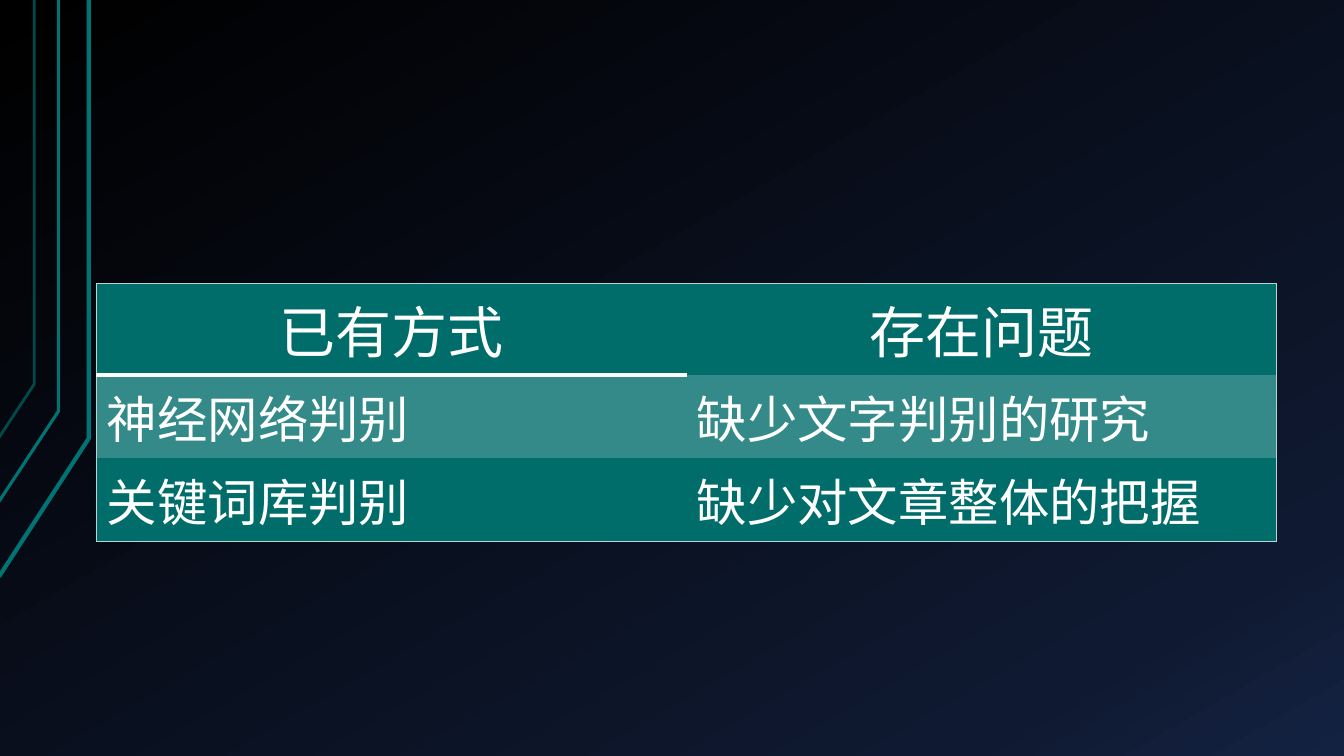
from copy import deepcopy

from lxml import etree
from pptx import Presentation
from pptx.dml.color import RGBColor
from pptx.enum.text import PP_ALIGN
from pptx.oxml.ns import qn
from pptx.util import Inches, Pt

CENTER, LEFT = PP_ALIGN.CENTER, PP_ALIGN.LEFT
FONT = "Noto Sans CJK SC"
WHITE, TEAL, BAND, EDGE = "FFFFFF", "006D6B", "338A89", "BDD4D4"

ROWS = [
    ("已有方式", "存在问题"),
    ("神经网络判别", "缺少文字判别的研究"),
    ("关键词库判别", "缺少对文章整体的把握"),
]
ROW_STYLES = [  # height, text size, alignment, fill
    (0.91, 40, CENTER, TEAL),
    (0.82, 36, LEFT, BAND),
    (0.82, 36, LEFT, TEAL),
]
TABLE_LEFT, TABLE_TOP, COLUMN_WIDTH = 0.96, 2.81, 5.85

CIRCUIT_LINES = [  # points, colour, width
    ([(-0.01, 5.72), (0.88, 4.35), (0.88, 0)], "007373", 3),
    ([(-0.02, 4.99), (0.58, 4.08), (0.58, 0)], "007373", 2.25),
    ([(-0.01, 4.34), (0.34, 3.81), (0.34, 0)], "004A4A", 2),
]
BACKGROUND_STOPS = [(0, "000000"), (85, "0F1931"), (100, "142242")]


def color(value):
    return RGBColor.from_string(value)


def paint_background(page):
    fill = page.background.fill
    fill.gradient()
    fill.gradient_angle = 300
    stop_list = page.element.find(".//" + qn("a:gsLst"))
    stop_list.append(deepcopy(stop_list[-1]))
    for stop, (percent, value) in zip(fill.gradient_stops, BACKGROUND_STOPS):
        stop.position = percent / 100
        stop.color.rgb = color(value)


def draw_circuit_line(page, points, value, width):
    corners = [(Inches(x), Inches(y)) for x, y in points]
    builder = page.shapes.build_freeform(*corners[0])
    builder.add_line_segments(corners[1:], close=False)
    shape = builder.convert_to_shape()
    shape.shadow.inherit = False
    shape.fill.background()
    shape.line.color.rgb = color(value)
    shape.line.width = Pt(width)


def set_borders(cell, borders):
    """Add borders ahead of the fill; sides without an entry get no line."""
    properties = cell._tc.get_or_add_tcPr()
    for place, side in enumerate(("lnL", "lnR", "lnT", "lnB")):
        line = etree.Element(qn("a:" + side))
        if side in borders:
            value, width = borders[side]
            line.set("w", str(Pt(width)))
            solid = etree.SubElement(line, qn("a:solidFill"))
            etree.SubElement(solid, qn("a:srgbClr"), val=value)
        else:
            etree.SubElement(line, qn("a:noFill"))
        properties.insert(place, line)


def cell_borders(row, column):
    borders = {"lnR" if column else "lnL": (EDGE, 0.75)}
    if row == 0:
        borders["lnT"] = (EDGE, 0.75)
        if column == 0:
            borders["lnB"] = (WHITE, 3)
    if row == 1 and column == 0:
        borders["lnT"] = (WHITE, 3)
    if row == len(ROWS) - 1:
        borders["lnB"] = (EDGE, 0.75)
    return borders


def fill_cell(cell, text, size, alignment, value):
    cell.fill.solid()
    cell.fill.fore_color.rgb = color(value)
    para = cell.text_frame.paragraphs[0]
    para.alignment = alignment
    span = para.add_run()
    span.text = text
    span.font.size = Pt(size)
    span.font.bold = False
    span.font.name = FONT
    span.font.color.rgb = color(WHITE)
    etree.SubElement(span.font._element, qn("a:ea"), typeface=FONT)


def add_comparison_table(page):
    column_count = len(ROWS[0])
    height = sum(style[0] for style in ROW_STYLES)
    table = page.shapes.add_table(
        len(ROWS), column_count, Inches(TABLE_LEFT), Inches(TABLE_TOP),
        Inches(COLUMN_WIDTH * column_count), Inches(height)).table
    for column in table.columns:
        column.width = Inches(COLUMN_WIDTH)
    for row, (texts, style) in enumerate(zip(ROWS, ROW_STYLES)):
        row_height, size, alignment, value = style
        table.rows[row].height = Inches(row_height)
        for column, text in enumerate(texts):
            cell = table.cell(row, column)
            fill_cell(cell, text, size, alignment, value)
            set_borders(cell, cell_borders(row, column))


def main():
    deck = Presentation()
    deck.slide_width, deck.slide_height = Inches(13.33), Inches(7.5)
    page = deck.slides.add_slide(deck.slide_layouts[6])
    paint_background(page)
    for points, value, width in CIRCUIT_LINES:
        draw_circuit_line(page, points, value, width)
    add_comparison_table(page)
    deck.save("out.pptx")


if __name__ == "__main__":
    main()
